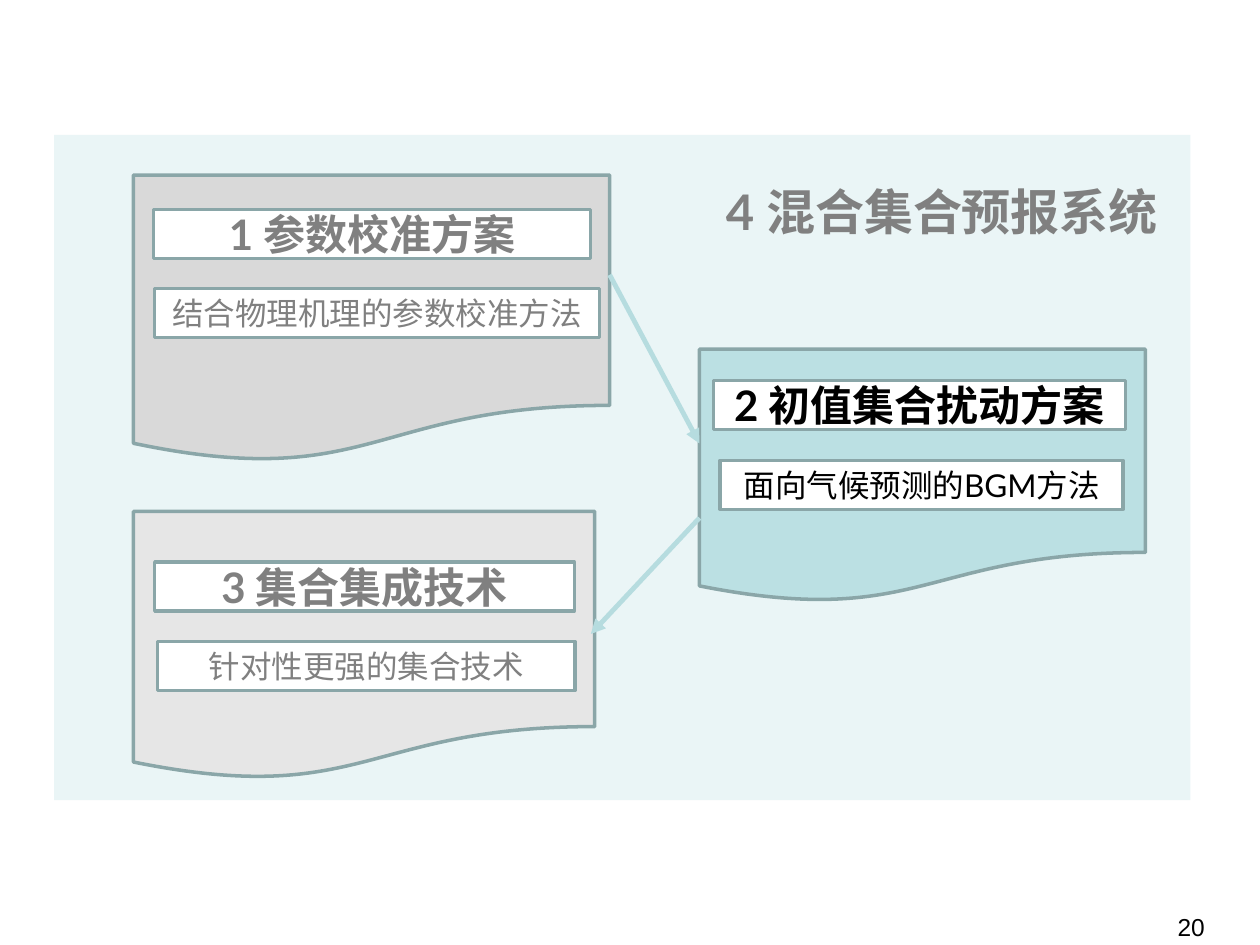
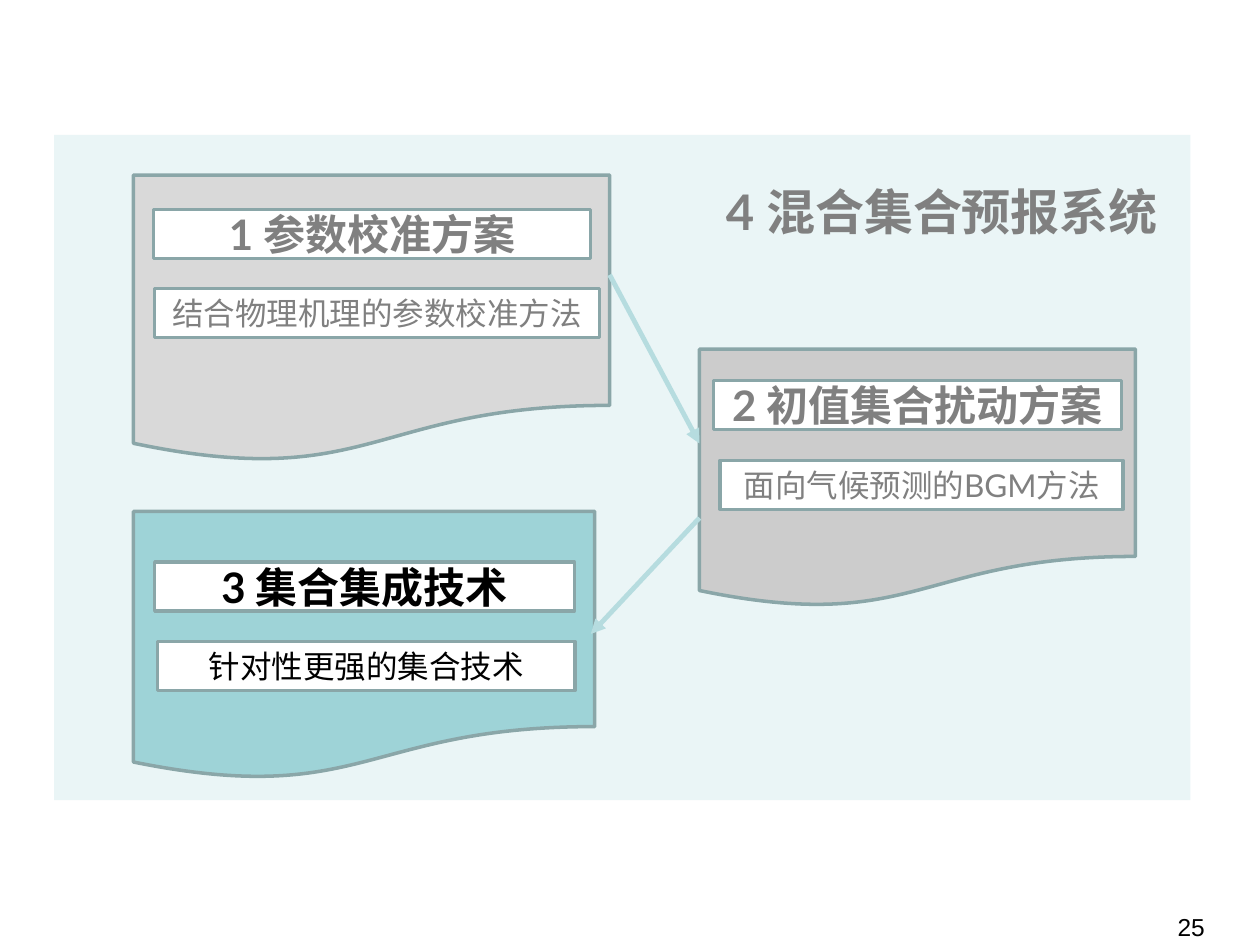
"""Build two slides that step through a four-part ensemble forecast plan."""
import pptx
import pptx.dml.color
import pptx.enum.shapes
import pptx.enum.text
import pptx.oxml
import pptx.oxml.ns
import pptx.util

Cm = pptx.util.Cm
Pt = pptx.util.Pt
Kind = pptx.enum.shapes.MSO_SHAPE
Align = pptx.enum.text.PP_ALIGN
Anchor = pptx.enum.text.MSO_ANCHOR
Fit = pptx.enum.text.MSO_AUTO_SIZE

TINT = "BBE0E3"
EDGE = "8AA6A8"
ARROW = "B6DCDF"
WHITE = "FFFFFF"
BLACK = "000000"
GREY = "808080"
FONT = "Lato"
ROW = 0.99

PLANS = [
    ("20", "2", {"1": "D9D9D9", "2": TINT, "3": "E6E6E6"}),
    ("25", "3", {"1": "D9D9D9", "2": "CCCCCC", "3": "9ED3D7"}),
]


def parts(live):
    """List each part: key, sheet box, then text, left, top and width per label."""
    on = live == "2"
    return [
        ("1", (2.69, 3.53, 9.6, 5.79),
         ("1 参数校准方案", 3.1, 4.22, 8.81),
         ("结合物理机理的参数校准方法", 3.12, 5.82, 8.97)),
        ("2", (14.1, 7.04, 8.99, 5.11) if on else (14.1, 7.04, 8.79, 5.21),
         ("2 初值集合扰动方案", 14.38, 7.67, 8.31 if on else 8.23),
         ("面向气候预测的BGM方法", 14.52, 9.28, 8.12)),
        ("3", (2.69, 10.31, 9.3, 5.41),
         ("3 集合集成技术", 3.12, 11.33, 8.46),
         ("针对性更强的集合技术", 3.18, 12.93, 8.41)),
    ]


def paint(form, code):
    """Give a fill, line or font colour format a solid hex colour."""
    if hasattr(form, "solid"):
        form.solid()
        form = form.fore_color
    else:
        form = form.color
    form.rgb = pptx.dml.color.RGBColor.from_string(code)


def write(frame, text, size, code, font=FONT, bold=False, align=Align.CENTER):
    """Write one run in the first paragraph of a text frame."""
    para = frame.paragraphs[0]
    para.alignment = align
    run = para.add_run()
    run.text = text
    run.font.name = font
    run.font.size = Pt(size)
    run.font.bold = bold
    paint(run.font, code)


def block(slide, kind, box, fill, edge=None):
    """Add a flat preset shape, outlined when an edge colour is given."""
    shape = slide.shapes.add_shape(kind, *map(Cm, box))
    shape.shadow.inherit = False
    paint(shape.fill, fill)
    if edge:
        paint(shape.line, edge)
        shape.line.width = Pt(2)
    else:
        shape.line.fill.background()
    return shape


def panel(slide):
    """Add the pale see-through panel behind the flow."""
    shape = block(slide, Kind.RECTANGLE, (1.09, 2.72, 22.91, 13.41), TINT)
    tone = shape.fill._xPr.find(".//" + pptx.oxml.ns.qn("a:srgbClr"))
    alpha = pptx.oxml.parse_xml(
        f'<a:alpha {pptx.oxml.ns.nsdecls("a")} val="30000"/>')
    tone.append(alpha)


def number(slide, text):
    """Add the slide number at the lower right."""
    box = slide.shapes.add_textbox(*map(Cm, (22.63, 18.26, 2.77, 0.79)))
    box.text_frame.word_wrap = True
    write(box.text_frame, text, 14, BLACK, "Arial")


def label(slide, text, left, top, width, size, code, bold):
    """Add a white label with centred text."""
    shape = block(slide, Kind.RECTANGLE, (left, top, width, ROW), WHITE, EDGE)
    shape.text_frame.word_wrap = False
    shape.text_frame.vertical_anchor = Anchor.MIDDLE
    write(shape.text_frame, text, size, code, bold=bold)


def arrow(slide, *ends):
    """Add a straight arrow from the first point to the second."""
    line = slide.shapes.add_connector(
        pptx.enum.shapes.MSO_CONNECTOR.STRAIGHT, *map(Cm, ends))
    paint(line.line, ARROW)
    line.line.width = Pt(2.75)
    space = pptx.oxml.ns.nsdecls("a")
    line.line._get_or_add_ln().append(
        pptx.oxml.parse_xml(f'<a:tailEnd {space} type="triangle"/>'))
    line._element.spPr.append(pptx.oxml.parse_xml(f"<a:effectLst {space}/>"))


def title(slide, text):
    """Place the title above the panel at the upper right."""
    head = slide.shapes.title
    head.left, head.top, head.width, head.height = map(
        Cm, (14.38, 3.53, 9.32, 1.45))
    frame = head.text_frame
    frame.word_wrap = True
    frame.auto_size = Fit.SHAPE_TO_FIT_TEXT
    frame.vertical_anchor = Anchor.TOP
    write(frame, text, 28, GREY, bold=True, align=Align.LEFT)
    head.element.getparent().append(head.element)


def build(deck, page, live, fills):
    """Add one slide with the live part picked out."""
    slide = deck.slides.add_slide(deck.slide_layouts[5])
    panel(slide)
    number(slide, page)
    rows = parts(live)
    for key, box, *_ in rows:
        block(slide, Kind.FLOWCHART_DOCUMENT, box, fills[key], EDGE)
    for key, _, name, note in rows:
        code = BLACK if key == live else GREY
        label(slide, *name, 24, code, True)
        label(slide, *note, 18, code, False)
    arrow(slide, 12.29, 5.54, 14.1, 8.94)
    title(slide, "4 混合集合预报系统")
    arrow(slide, 14.1, 10.44, 11.91, 12.78)


def main():
    """Build and save the deck."""
    deck = pptx.Presentation()
    deck.slide_width, deck.slide_height = Cm(25.4), Cm(19.05)
    for plan in PLANS:
        build(deck, *plan)
    deck.save("out.pptx")


if __name__ == "__main__":
    main()
